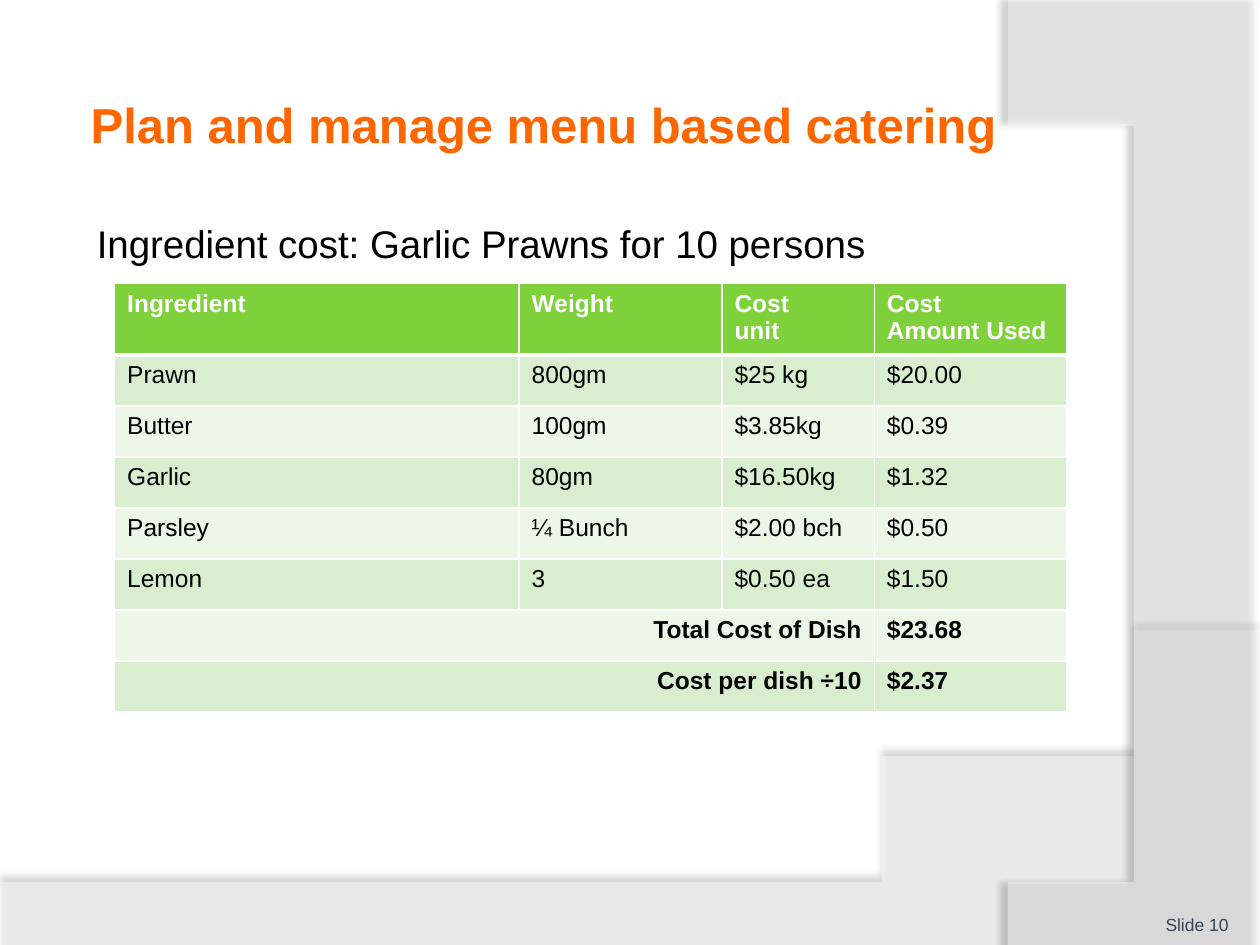
from lxml import etree
from pptx import Presentation, util as u
from pptx.dml.color import RGBColor
from pptx.enum import text
from pptx.oxml import ns

WHITE = RGBColor(0xFF, 0xFF, 0xFF)
BLACK = RGBColor(0, 0, 0)
ORANGE = RGBColor(0xFF, 0x66, 0x00)
SLATE = RGBColor(0x3A, 0x43, 0x52)
GREEN = RGBColor(0x7F, 0xD1, 0x3B)
BANDS = (RGBColor(0xEC, 0xF7, 0xE8), RGBColor(0xD8, 0xEE, 0xCE))

COLUMNS = (3.21, 1.61, 1.21, 1.53)
ROW_HEIGHT = 3.24 / 8
HEADER = ("Ingredient", "Weight", "Cost\vunit", "Cost \vAmount Used")
INGREDIENTS = (
    ("Prawn", "800gm", "$25 kg", "$20.00"),
    ("Butter", "100gm", "$3.85kg", "$0.39"),
    ("Garlic", "80gm", "$16.50kg", "$1.32"),
    ("Parsley", "¼ Bunch", "$2.00 bch", "$0.50"),
    ("Lemon", "3", "$0.50 ea", "$1.50"),
)
TOTALS = (
    ("Total Cost of Dish", "", "", "$23.68"),
    ("Cost per dish ÷10", "", "", "$2.37"),
)


def add_xml(parent, tag, **attributes):
    return etree.SubElement(parent, ns.qn(tag), attributes)


def add_color(parent, color, opacity=100):
    element = add_xml(parent, "a:srgbClr", val=str(color))
    if opacity < 100:
        add_xml(element, "a:alpha", val=str(opacity * 1000))


def write(frame, content, color, size, bold=False, align=text.PP_ALIGN.LEFT):
    paragraph = frame.paragraphs[0]
    paragraph.text = content
    paragraph.alignment = align
    values = {"name": "Arial", "size": u.Pt(size), "bold": bold}
    for run in paragraph.runs:
        for name, value in values.items():
            setattr(run.font, name, value)
        run.font.color.rgb = color


def set_frame(frame, anchor, inset_x, inset_y):
    values = {
        "word_wrap": True, "vertical_anchor": anchor,
        "margin_left": u.Inches(inset_x), "margin_right": u.Inches(inset_x),
        "margin_top": u.Inches(inset_y), "margin_bottom": u.Inches(inset_y),
    }
    for name, value in values.items():
        setattr(frame, name, value)


def curve(start, first, second, end, steps=60):
    for step in range(1, steps + 1):
        t = step / steps
        weights = ((1 - t) ** 3, 3 * t * (1 - t) ** 2, 3 * t * t * (1 - t), t ** 3)
        yield tuple(sum(w * p for w, p in zip(weights, axis))
                    for axis in zip(start, first, second, end))


def add_swoosh(slide, points, opacity, shadow_opacity, distance, direction):
    builder = slide.shapes.build_freeform(*points[0], scale=u.Inches(1))
    builder.add_line_segments(points[1:], close=True)
    shape = builder.convert_to_shape()
    shape.fill.solid()
    shape.fill.fore_color.rgb = WHITE
    shape.line.fill.background()
    properties = shape._element.spPr
    fill_color = properties.find(".//" + ns.qn("a:solidFill"))[0]
    add_xml(fill_color, "a:alpha", val=str(opacity * 1000))
    effects = add_xml(properties, "a:effectLst")
    shadow = add_xml(effects, "a:outerShdw", blurRad=str(u.Pt(4)), dist=str(u.Pt(distance)),
                     dir=str(direction * 60000), algn="ctr", rotWithShape="0")
    add_color(shadow, BLACK, shadow_opacity)


def add_background(slide):
    bottom = [(0, 7.05), (0, 7.51), (10, 7.51), (10, 5.2)]
    bottom += curve((10, 5.2), (5.59, 7.29), (3.91, 7.19), (0, 7.05))
    add_swoosh(slide, bottom, 45, 35, 3.5, 270)
    side = [(10, 0.02), (10, 7.5), (8.21, 7.5)]
    side += curve((8.21, 7.5), (9.35, 6.19), (10.18, 3), (8, 0))
    add_swoosh(slide, side, 40, 45, 4, 180)


def add_title(slide, content):
    title = slide.shapes.title
    for name, value in zip(("left", "top", "width", "height"), (0.67, 0.36, 8.17, 1.25)):
        setattr(title, name, u.Inches(value))
    set_frame(title.text_frame, text.MSO_ANCHOR.MIDDLE, 0.05, 0.05)
    write(title.text_frame, content, ORANGE, 28, True)
    slide.shapes._spTree.append(title._element)


def add_text(slide, box, content, color, size, anchor, insets, align=text.PP_ALIGN.LEFT):
    frame = slide.shapes.add_textbox(*map(u.Inches, box)).text_frame
    set_frame(frame, anchor, *insets)
    write(frame, content, color, size, align=align)


def set_borders(cell, bottom_width):
    properties = cell._tc.get_or_add_tcPr()
    for index, side in enumerate("LRTB"):
        width = bottom_width if side == "B" else 1
        line = add_xml(properties, "a:ln" + side, w=str(u.Pt(width)))
        add_color(add_xml(line, "a:solidFill"), WHITE)
        properties.insert(index, line)


def add_cost_table(slide, left, top):
    rows = (HEADER, *INGREDIENTS, *TOTALS)
    table = slide.shapes.add_table(
        len(rows), len(COLUMNS), u.Inches(left), u.Inches(top),
        u.Inches(sum(COLUMNS)), u.Inches(ROW_HEIGHT * len(rows))).table
    for column, width in zip(table.columns, COLUMNS):
        column.width = u.Inches(width)
    for row_index, values in enumerate(rows):
        is_header = values is HEADER
        is_total = values in TOTALS
        table.rows[row_index].height = u.Inches(ROW_HEIGHT)
        for column_index, value in enumerate(values):
            cell = table.cell(row_index, column_index)
            cell.fill.solid()
            cell.fill.fore_color.rgb = GREEN if is_header else BANDS[row_index % 2]
            set_borders(cell, 3 if is_header else 1)
            right = is_total and column_index == 0
            write(cell.text_frame, value, WHITE if is_header else BLACK, 14,
                  is_header or is_total,
                  text.PP_ALIGN.RIGHT if right else text.PP_ALIGN.LEFT)
        if is_total:
            table.cell(row_index, 0).merge(table.cell(row_index, 2))


def main():
    presentation = Presentation()
    presentation.slide_width, presentation.slide_height = u.Inches(10), u.Inches(7.5)
    slide = presentation.slides.add_slide(presentation.slide_layouts[5])
    add_background(slide)
    add_title(slide, "Plan and manage menu based catering")
    add_text(slide, (0.67, 1.7, 8.17, 0.5), "Ingredient cost: Garlic Prawns for 10 persons",
             BLACK, 22, text.MSO_ANCHOR.TOP, (0.1, 0.05))
    add_text(slide, (8.92, 7.02, 0.83, 0.4), "Slide 10", SLATE, 10,
             text.MSO_ANCHOR.BOTTOM, (0, 0), text.PP_ALIGN.RIGHT)
    add_cost_table(slide, 0.91, 2.25)
    presentation.save("out.pptx")


if __name__ == "__main__":
    main()
